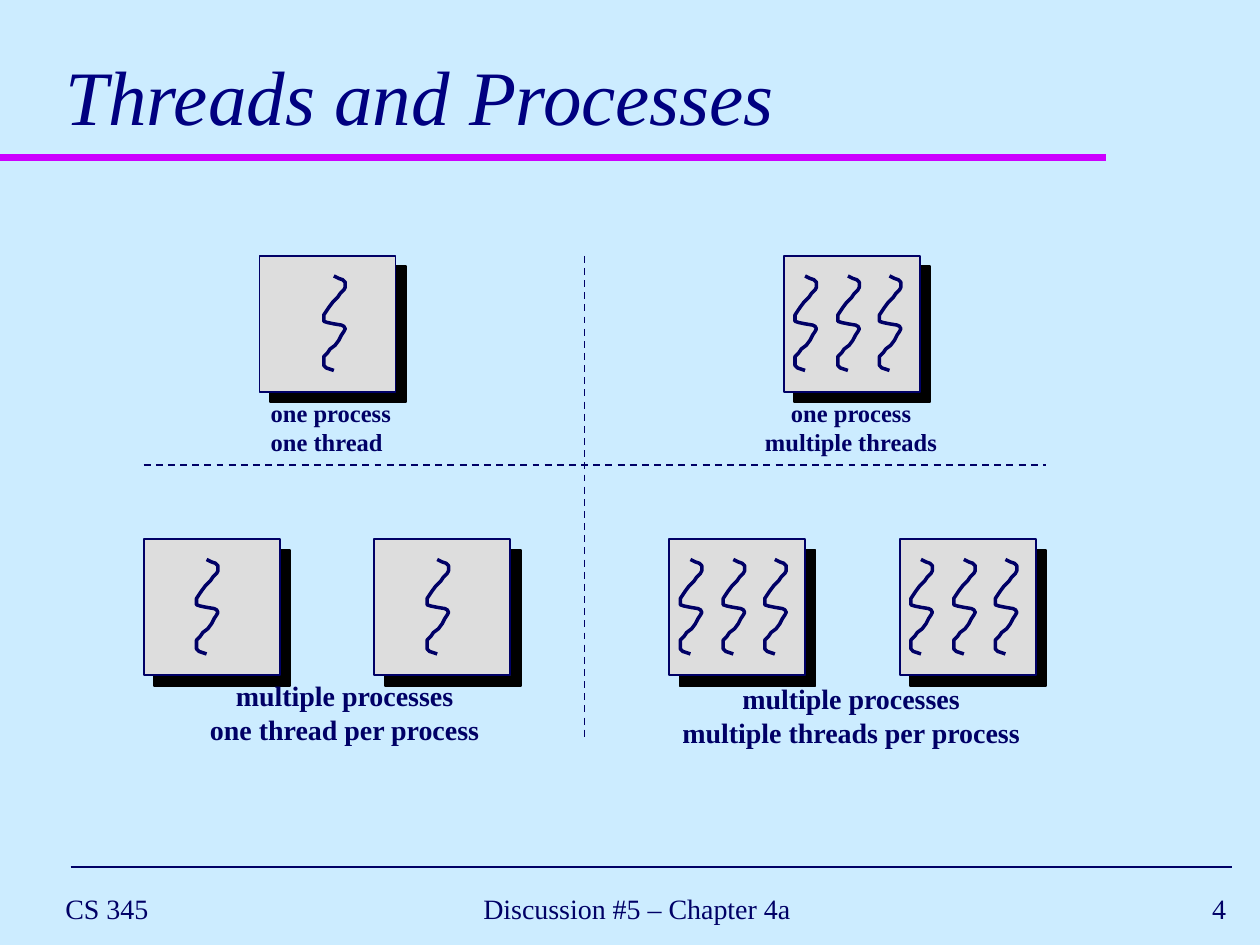
from lxml import etree
from pptx import Presentation
from pptx.dml.color import RGBColor
from pptx.enum.dml import MSO_LINE
from pptx.enum.shapes import MSO_CONNECTOR, MSO_SHAPE
from pptx.enum.text import MSO_ANCHOR, MSO_AUTO_SIZE, PP_ALIGN
from pptx.oxml.ns import qn
from pptx.util import Inches, Pt

SKY = RGBColor(0xCC, 0xEC, 0xFF)
NAVY = RGBColor(0x00, 0x00, 0x66)
BLUE = RGBColor(0x00, 0x00, 0x80)
PINK = RGBColor(0xCC, 0x00, 0xFF)
GRAY = RGBColor(0xDD, 0xDD, 0xDD)
FONT = "Times New Roman"

LEFT, CENTER, RIGHT = PP_ALIGN.LEFT, PP_ALIGN.CENTER, PP_ALIGN.RIGHT
TOP, MIDDLE, BOTTOM = MSO_ANCHOR.TOP, MSO_ANCHOR.MIDDLE, MSO_ANCHOR.BOTTOM
NO_FIT = MSO_AUTO_SIZE.NONE
RECT = MSO_SHAPE.RECTANGLE
STRAIGHT = MSO_CONNECTOR.STRAIGHT
DASH = MSO_LINE.DASH

SIDE = 1.08
# Thread outline in hundredths of an inch from its own top left corner
CURVE = [
    (8, 0), (12, 2), (15, 3), (17, 5), (17, 9), (16, 11), (13, 14), (11, 17),
    (7, 21), (4, 25), (2, 28), (0, 31), (0, 34), (0, 36), (3, 37), (8, 38),
    (14, 39), (16, 40), (17, 42), (16, 44), (14, 47), (12, 51), (9, 55),
    (5, 58), (3, 61), (0, 64), (0, 67), (0, 71), (2, 73), (5, 74), (8, 75),
]
ONE = [0.42]
MANY = [0.09, 0.43, 0.76]

# Box lefts, box top, thread offsets, caption lines, caption place, size, align
CASES = [
    ([2.06], 2.03, [0.51], ["one process", "one thread"],
     (2.05, 3.11, 1.16, 0.57), 14, LEFT),
    ([1.14, 2.97], 4.28, ONE, ["multiple processes", "one thread per process"],
     (1.56, 5.34, 2.35, 0.63), 16, CENTER),
    ([5.31, 7.14], 4.28, MANY,
     ["multiple processes", "multiple threads per process"],
     (5.31, 5.36, 2.89, 0.63), 16, CENTER),
    ([6.22], 2.03, MANY, ["one process", "multiple threads"],
     (5.97, 3.11, 1.57, 0.57), 14, CENTER),
]
FOOTER = [
    ("CS 345", (0.42, 7, 2.67, 0.42), LEFT),
    ("Discussion #5 – Chapter 4a", (3.07, 7, 3.97, 0.42), CENTER),
    ("4", (7.75, 7, 2.08, 0.42), RIGHT),
]


def add_title(slide, text):
    title = slide.shapes.title
    title.left, title.top = Inches(0.42), Inches(0.17)
    title.width, title.height = Inches(9.25), Inches(1)
    frame = title.text_frame
    frame.text = text
    frame.auto_size = NO_FIT
    frame.vertical_anchor = BOTTOM
    para = frame.paragraphs[0]
    para.alignment = LEFT
    font = para.font
    font.name, font.size, font.italic = FONT, Pt(44), True
    font.color.rgb = BLUE


def add_text(shapes, lines, place, size, align, anchor=TOP, bold=False):
    box = shapes.add_textbox(*map(Inches, place))
    frame = box.text_frame
    frame.text = "\n".join(lines)
    frame.word_wrap = False
    frame.vertical_anchor = anchor
    for para in frame.paragraphs:
        para.alignment = align
        font = para.font
        font.name, font.size, font.bold = FONT, Pt(size), bold
        font.color.rgb = NAVY


def add_line(slide, start, end, color=NAVY, width=1, dash=None):
    line = slide.shapes.add_connector(STRAIGHT, *map(Inches, start + end))
    line.line.color.rgb = color
    line.line.width = Pt(width)
    if dash:
        line.line.dash_style = dash
    etree.SubElement(line._element.spPr, qn("a:effectLst"))


def add_shadow(shape):
    """Give the shape a hard black shadow to the lower right."""
    shape.shadow.inherit = False
    effects = shape._element.spPr.find(qn("a:effectLst"))
    shadow = etree.SubElement(effects, qn("a:outerShdw"), blurRad="0",
                              dist=str(Pt(8.5)), dir="2700000",
                              algn="ctr", rotWithShape="0")
    etree.SubElement(shadow, qn("a:srgbClr"), val="000000")


def add_box(shapes, left, top):
    box = shapes.add_shape(RECT, Inches(left), Inches(top),
                           Inches(SIDE), Inches(SIDE))
    box.fill.solid()
    box.fill.fore_color.rgb = GRAY
    box.line.color.rgb = NAVY
    box.line.width = Pt(1)
    add_shadow(box)


def add_thread(shapes, left, top):
    points = [(left * 100 + x, top * 100 + y) for x, y in CURVE]
    pen = shapes.build_freeform(*points[0], scale=Inches(0.01))
    pen.add_line_segments(points[1:], close=False)
    thread = pen.convert_to_shape()
    thread.fill.background()
    thread.line.color.rgb = NAVY
    thread.line.width = Pt(2)
    thread.shadow.inherit = False


def add_case(slide, lefts, top, threads, lines, place, size, align):
    """Group the processes of one quadrant with their threads and caption."""
    shapes = slide.shapes.add_group_shape().shapes
    for left in lefts:
        add_box(shapes, left, top)
        for shift in threads:
            add_thread(shapes, left + shift, top + 0.16)
    add_text(shapes, lines, place, size, align, bold=True)


def main():
    deck = Presentation()
    deck.slide_width, deck.slide_height = Inches(10), Inches(7.5)
    slide = deck.slides.add_slide(deck.slide_layouts[5])
    slide.background.fill.solid()
    slide.background.fill.fore_color.rgb = SKY

    add_line(slide, (0, 1.25), (8.78, 1.25), PINK, 4)
    add_line(slide, (0.56, 6.88), (9.78, 6.88))
    for text, place, align in FOOTER:
        add_text(slide.shapes, [text], place, 16, align, MIDDLE)
    add_title(slide, "Threads and Processes")

    add_line(slide, (4.64, 2.03), (4.64, 5.86), dash=DASH)
    add_line(slide, (1.14, 3.69), (8.3, 3.69), dash=DASH)
    for case in CASES:
        add_case(slide, *case)
    deck.save("out.pptx")


if __name__ == "__main__":
    main()
